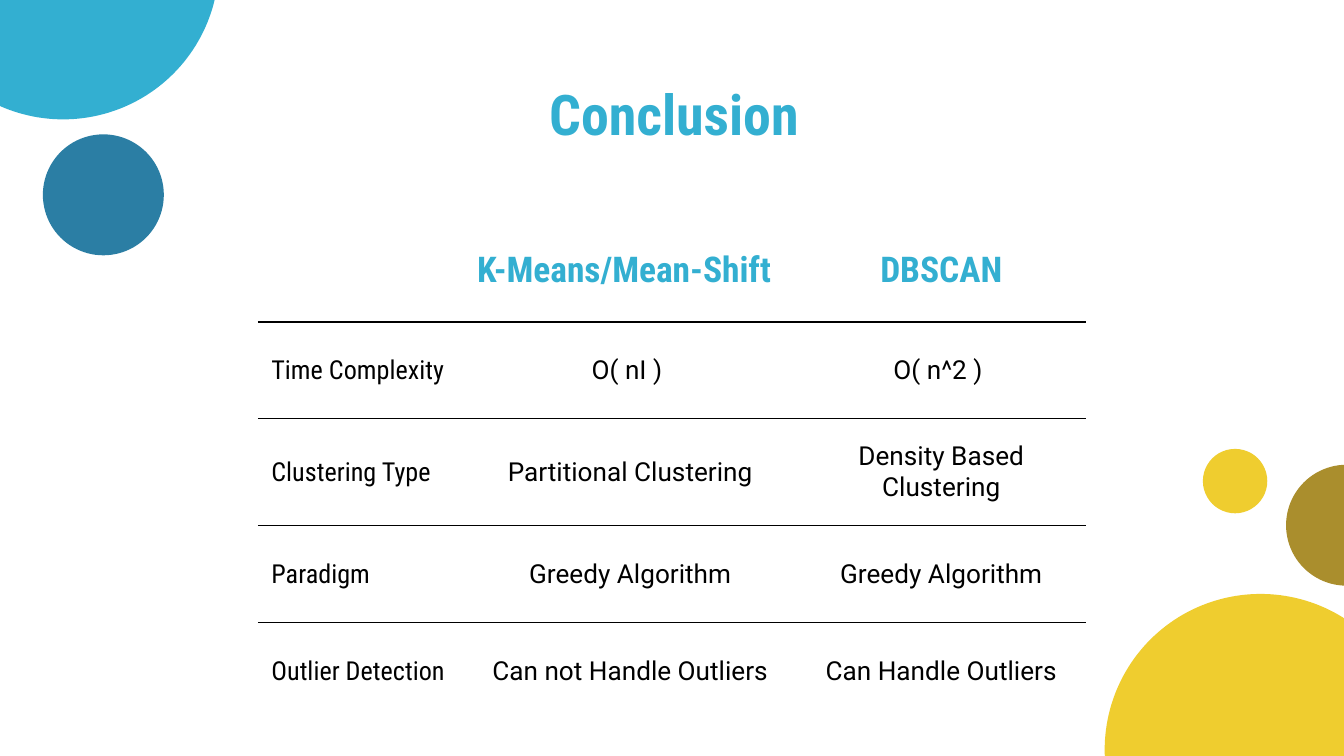
from lxml import etree
from pptx import Presentation
from pptx.dml.color import RGBColor
from pptx.enum import shapes, text
from pptx.oxml import ns
from pptx.util import Pt

SKY = RGBColor(0x33, 0xAF, 0xD1)
BLUE = RGBColor(0x2B, 0x7E, 0xA4)
YELLOW = RGBColor(0xEF, 0xCD, 0x2F)
OCHRE = RGBColor(0xAA, 0x8E, 0x2D)
BLACK = RGBColor(0, 0, 0)

# left, top, diameter, colour
CIRCLES = [
    (-49.7, -103, 167, SKY),
    (23, 72, 64.8, BLUE),
    (591.8, 318.2, 167, YELLOW),
    (644.4, 240.5, 34.5, YELLOW),
    (689, 249, 64.8, OCHRE),
]
TITLE = "Conclusion"
ROWS = [
    ("", "K-Means/Mean-Shift", "DBSCAN"),
    ("Time Complexity", "O( nI ) ", "O( n^2 ) "),
    ("Clustering Type", "Partitional Clustering", "Density Based Clustering"),
    ("Paradigm", "Greedy Algorithm", "Greedy Algorithm"),
    ("Outlier Detection", "Can not Handle Outliers", "Can Handle Outliers"),
]
COLUMN_WIDTHS = [110.2, 178.5, 154.8]
ROW_HEIGHTS = [55.4, 51.9, 57.4, 51.9, 51.9]
TABLE_LEFT, TABLE_TOP = 138.2, 117.1
RULE = 0.75
INSET = 7.2

TITLE_FONT = {"name": "Roboto Condensed", "size": Pt(30), "bold": True}
HEAD_FONT = {"name": "Roboto Condensed", "size": Pt(19), "bold": True}
LABEL_FONT = {"name": "Roboto Condensed", "size": Pt(14), "bold": False}
VALUE_FONT = {"name": "Roboto", "size": Pt(14), "bold": False}


def write(frame, words, font, colour, align):
    para = frame.paragraphs[0]
    para.alignment = align
    span = para.add_run()
    span.text = words
    for key, value in font.items():
        setattr(span.font, key, value)
    span.font.color.rgb = colour


def set_insets(target):
    for side in ("left", "top", "right", "bottom"):
        setattr(target, f"margin_{side}", Pt(INSET))


def set_borders(cell, ruled):
    """Draw the sides named in ruled and clear the others."""
    properties = cell._tc.get_or_add_tcPr()
    for place, side in enumerate("LRTB"):
        line = etree.Element(ns.qn(f"a:ln{side}"), w=str(Pt(RULE)))
        if side in ruled:
            fill = etree.SubElement(line, ns.qn("a:solidFill"))
            etree.SubElement(fill, ns.qn("a:srgbClr"), val=str(BLACK))
        else:
            etree.SubElement(line, ns.qn("a:noFill"))
        properties.insert(place, line)


def add_circles(page):
    for left, top, size, colour in CIRCLES:
        circle = page.shapes.add_shape(
            shapes.MSO_SHAPE.OVAL, Pt(left), Pt(top), Pt(size), Pt(size))
        circle.shadow.inherit = False
        circle.fill.solid()
        circle.fill.fore_color.rgb = colour
        circle.line.fill.background()


def add_title(page):
    box = page.shapes.add_textbox(Pt(56.2), Pt(35.3), Pt(609.8), Pt(45.4))
    box.text_frame.word_wrap = True
    set_insets(box.text_frame)
    write(box.text_frame, TITLE, TITLE_FONT, SKY, text.PP_ALIGN.CENTER)


def add_comparison(page):
    table = page.shapes.add_table(
        len(ROWS), len(COLUMN_WIDTHS), Pt(TABLE_LEFT), Pt(TABLE_TOP),
        Pt(sum(COLUMN_WIDTHS)), Pt(sum(ROW_HEIGHTS))).table
    table.first_row = table.horz_banding = False
    for column, width in zip(table.columns, COLUMN_WIDTHS):
        column.width = Pt(width)
    for row, height in zip(table.rows, ROW_HEIGHTS):
        row.height = Pt(height)

    last = len(ROWS) - 1
    for r, row in enumerate(ROWS):
        ruled = ("T" if r > 0 else "") + ("B" if r < last else "")
        for c, words in enumerate(row):
            cell = table.cell(r, c)
            cell.fill.background()
            cell.vertical_anchor = text.MSO_ANCHOR.MIDDLE
            set_insets(cell)
            set_borders(cell, ruled)
            if not words:
                continue
            font = HEAD_FONT if r == 0 else LABEL_FONT if c == 0 else VALUE_FONT
            left_aligned = c == 0 or (r, c) == (0, 1)
            align = text.PP_ALIGN.LEFT if left_aligned else text.PP_ALIGN.CENTER
            write(cell.text_frame, words, font, SKY if r == 0 else BLACK, align)


def main():
    deck = Presentation()
    deck.slide_width, deck.slide_height = Pt(720), Pt(405)
    page = deck.slides.add_slide(deck.slide_layouts[6])
    add_circles(page)
    add_title(page)
    add_comparison(page)
    deck.save("out.pptx")


if __name__ == "__main__":
    main()
